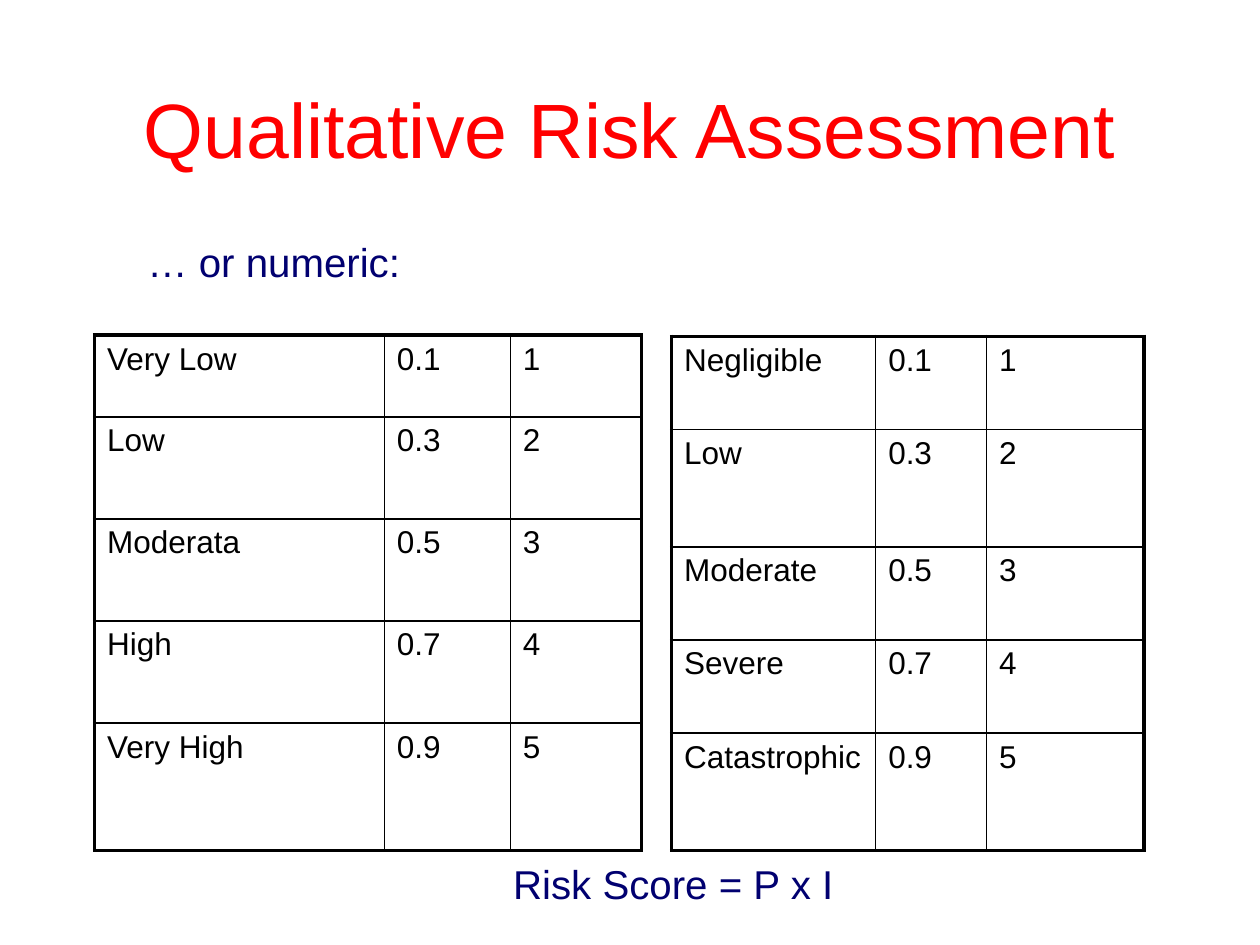
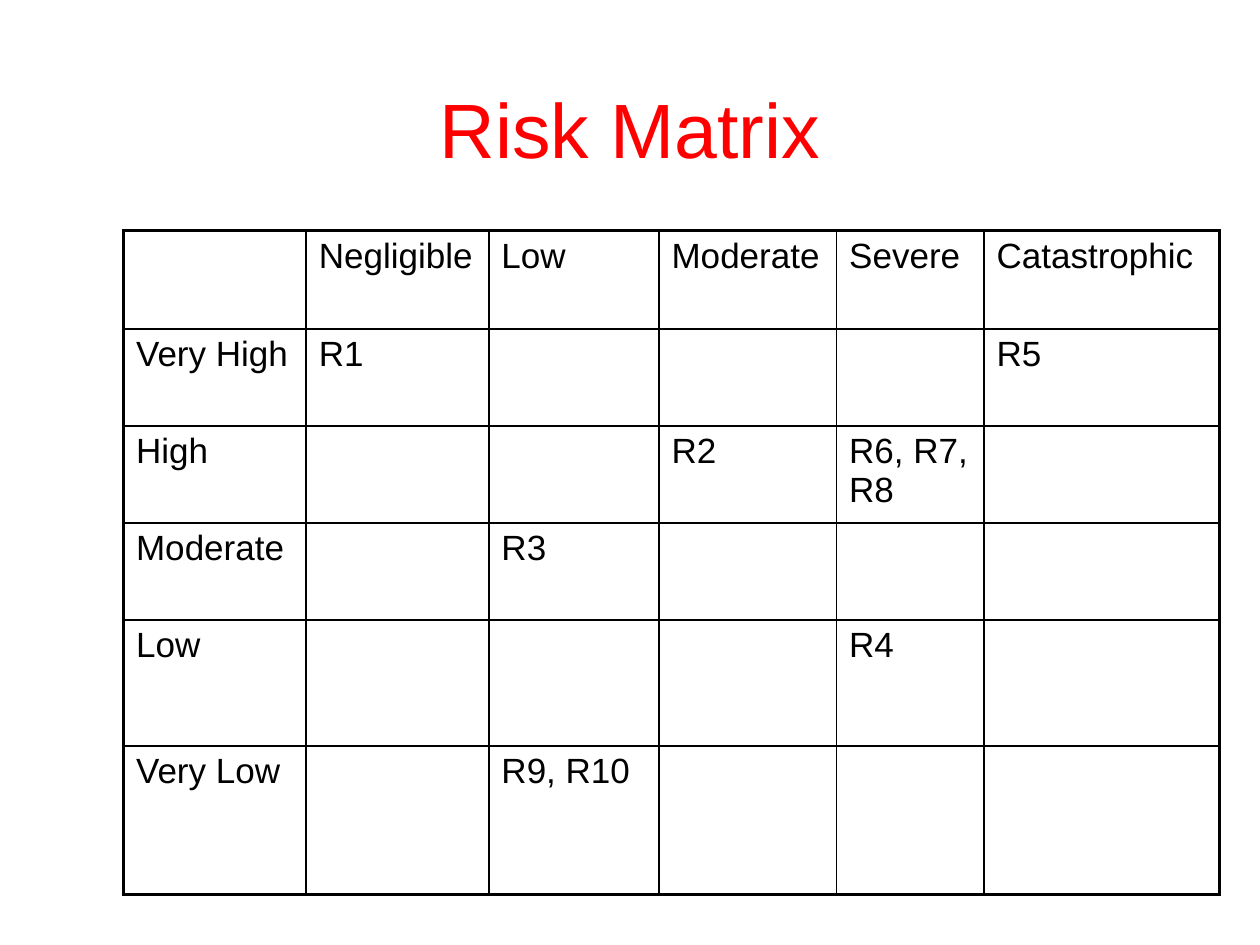
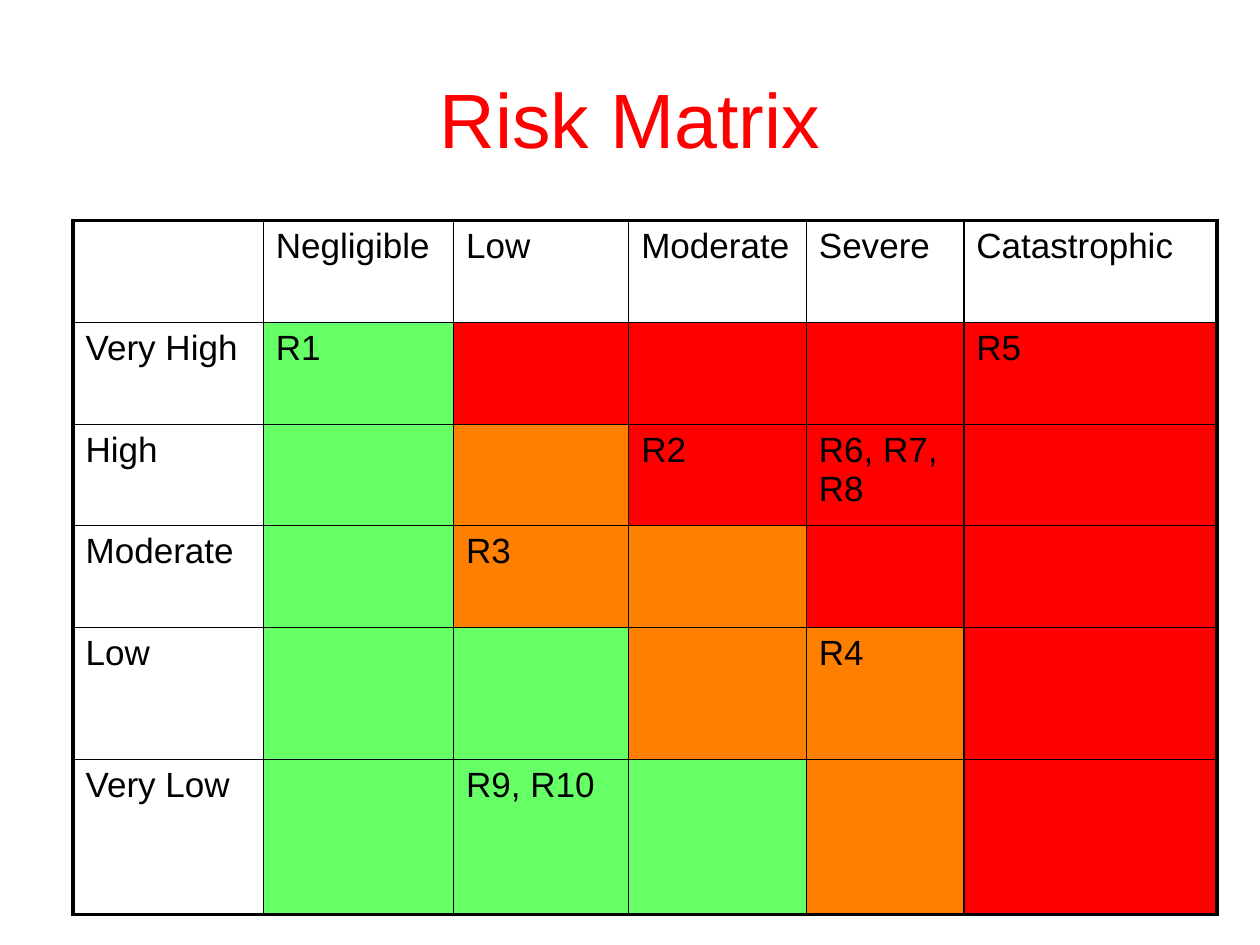
import dataclasses

import pptx
import pptx.dml.color
import pptx.enum.text
import pptx.oxml
import pptx.oxml.ns
import pptx.util
from pptx.util import Inches, Pt


@dataclasses.dataclass(frozen=True)
class Theme:
    font: str = "Arial"
    title_color: str = "FF0000"
    body_color: str = "010070"
    table_color: str = "000000"
    title_size: int = 44
    body_size: int = 23
    scale_size: int = 18
    matrix_size: int = 20
    outer_line: float = 2.25
    inner_line: float = 1


THEME = Theme()
ALIGN = pptx.enum.text.PP_ALIGN
ANCHOR = pptx.enum.text.MSO_ANCHOR
TITLE_AND_BODY, TITLE_ONLY = 1, 5

SCORES = [("0.1", "1"), ("0.3", "2"), ("0.5", "3"), ("0.7", "4"), ("0.9", "5")]
LIKELIHOODS = ["Very Low", "Low", "Moderata", "High", "Very High"]
IMPACTS = ["Negligible", "Low", "Moderate", "Severe", "Catastrophic"]

SCALES = [
    dict(labels=LIKELIHOODS, left=0.75, top=2.66,
         widths=[2.3, 1, 1.04], heights=[0.65, 0.81, 0.81, 0.81, 1.01]),
    dict(labels=IMPACTS, left=5.33, top=2.67,
         widths=[1.62, 0.88, 1.25], heights=[0.74, 0.93, 0.74, 0.74, 0.93]),
]

MATRIX = [
    ["", *IMPACTS],
    ["Very High", "R1", "", "", "", "R5"],
    ["High", "", "", "R2", "R6, R7, R8", ""],
    ["Moderate", "", "R3", "", "", ""],
    ["Low", "", "", "", "R4", ""],
    ["Very Low", "", "R9, R10", "", "", ""],
]
# One letter per cell: green, orange, red, or a dot for no fill
RATINGS = ["......", ".GRRRR", ".GORRR", ".GOORR", ".GGOOR", ".GGGOR"]
RATING_COLORS = {"G": "66FF66", "O": "FF8000", "R": "FF0000"}

MATRIX_SLIDES = [
    dict(title_top=0.39, left=0.98, top=1.83, ratings=None,
         widths=[1.45, 1.45, 1.35, 1.41, 1.17, 1.87],
         heights=[0.78, 0.77, 0.77, 0.77, 1, 1.18]),
    dict(title_top=0.31, left=0.58, top=1.75, ratings=RATINGS,
         widths=[1.51, 1.51, 1.39, 1.41, 1.25, 2.01],
         heights=[0.81, 0.81, 0.8, 0.81, 1.05, 1.23]),
]


def rgb(color):
    return pptx.dml.color.RGBColor.from_string(color)


def write(para, text, *, size, color, align=ALIGN.LEFT, before=0):
    para.alignment = align
    para.space_before = Pt(before)
    span = para.add_run()
    span.text = text
    span.font.name = THEME.font
    span.font.size = Pt(size)
    span.font.color.rgb = rgb(color)


def place(box, left, top, width, height):
    box.left, box.top = Inches(left), Inches(top)
    box.width, box.height = Inches(width), Inches(height)


def add_page(deck, layout, title, title_top=0.39):
    page = deck.slides.add_slide(deck.slide_layouts[layout])
    box = page.shapes.title
    place(box, 0.75, title_top, 8.5, 1.25)
    box.text_frame.vertical_anchor = ANCHOR.MIDDLE
    write(box.text_frame.paragraphs[0], title, size=THEME.title_size,
          color=THEME.title_color, align=ALIGN.CENTER)
    return page


def remove_bullet(para):
    properties = para._p.get_or_add_pPr()
    properties.set("marL", "0")
    properties.set("indent", "0")
    properties.append(pptx.oxml.parse_xml(
        f"<a:buNone {pptx.oxml.ns.nsdecls('a')}/>"))


def add_border(cell, side, width):
    cell._tc.get_or_add_tcPr().append(pptx.oxml.parse_xml(
        f'<a:ln{side} {pptx.oxml.ns.nsdecls("a")} w="{Pt(width)}">'
        f'<a:solidFill><a:srgbClr val="{THEME.table_color}"/></a:solidFill>'
        f'</a:ln{side}>'))


def add_grid(page, rows, *, left, top, widths, heights, size, ratings=None):
    """Add a table with a heavy frame, thin inner lines and optional rating fills."""
    last_row, last_column = len(heights) - 1, len(widths) - 1
    frame = page.shapes.add_table(
        len(heights), len(widths), Inches(left), Inches(top),
        Inches(sum(widths)), Inches(sum(heights)))
    table = frame.table
    table.first_row = table.horz_banding = False
    for column, width in zip(table.columns, widths):
        column.width = Inches(width)
    for row, height in zip(table.rows, heights):
        row.height = Inches(height)

    for r, row in enumerate(rows):
        for c, text in enumerate(row):
            cell = table.cell(r, c)
            on_frame = {"L": c == 0, "R": c == last_column,
                        "T": r == 0, "B": r == last_row}
            for side, outer in on_frame.items():
                add_border(cell, side, THEME.outer_line if outer else THEME.inner_line)
            color = RATING_COLORS.get(ratings[r][c]) if ratings else None
            if color:
                cell.fill.solid()
                cell.fill.fore_color.rgb = rgb(color)
            else:
                cell.fill.background()
            if text:
                write(cell.text_frame.paragraphs[0], text, size=size,
                      color=THEME.table_color)


def add_scales_page(deck):
    page = add_page(deck, TITLE_AND_BODY, "Qualitative Risk Assessment")
    body = page.placeholders[1]
    place(body, 1.07, 1.83, 8.55, 5.26)
    frame = body.text_frame
    frame.auto_size = pptx.enum.text.MSO_AUTO_SIZE.NONE
    intro, formula = frame.paragraphs[0], frame.add_paragraph()
    for para in (intro, formula):
        remove_bullet(para)
    style = dict(size=THEME.body_size, color=THEME.body_color)
    write(intro, "… or numeric:", **style)
    write(formula, "Risk Score = P x I", align=ALIGN.CENTER, before=328, **style)

    for scale in SCALES:
        layout = dict(scale)
        labels = layout.pop("labels")
        rows = [(label, *score) for label, score in zip(labels, SCORES)]
        add_grid(page, rows, size=THEME.scale_size, **layout)


def main():
    deck = pptx.Presentation()
    deck.slide_width, deck.slide_height = Inches(10), Inches(7.5)
    add_scales_page(deck)
    for slide in MATRIX_SLIDES:
        layout = dict(slide)
        page = add_page(deck, TITLE_ONLY, "Risk Matrix", layout.pop("title_top"))
        add_grid(page, MATRIX, size=THEME.matrix_size, **layout)
    deck.save("out.pptx")


if __name__ == "__main__":
    main()
